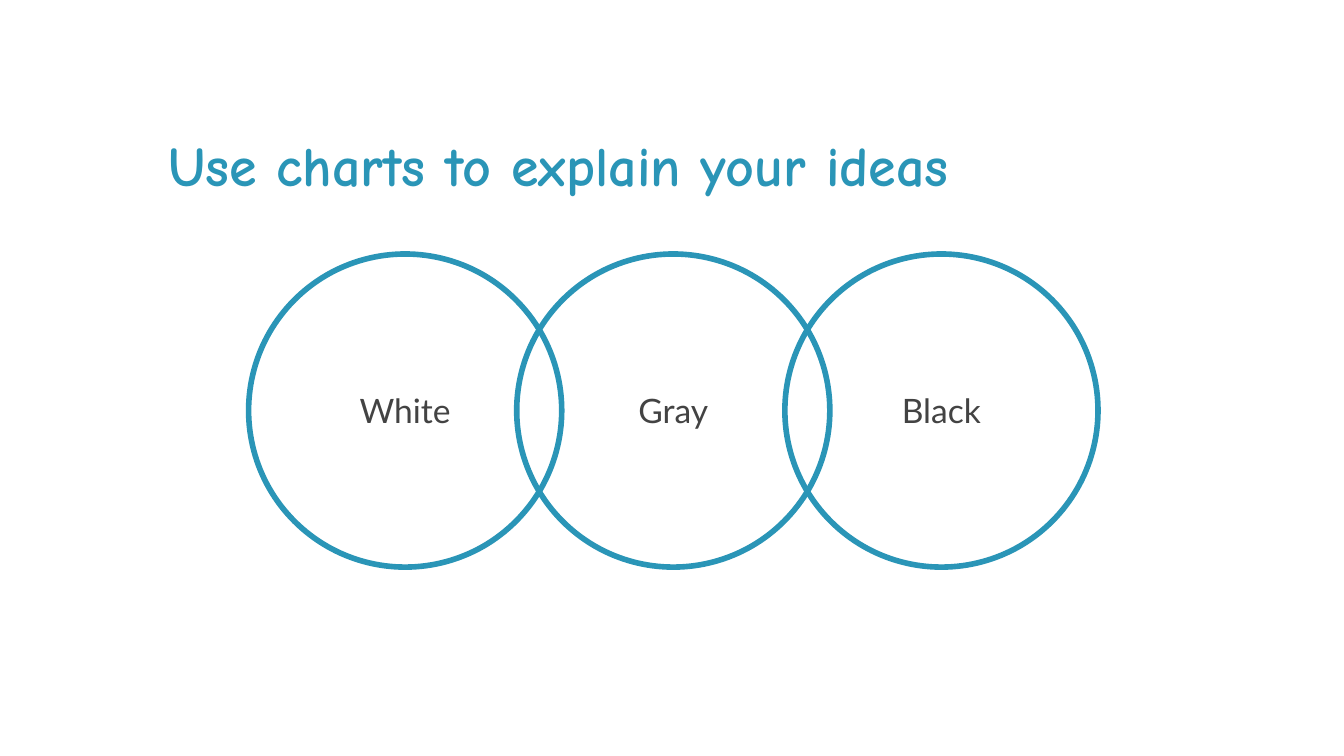
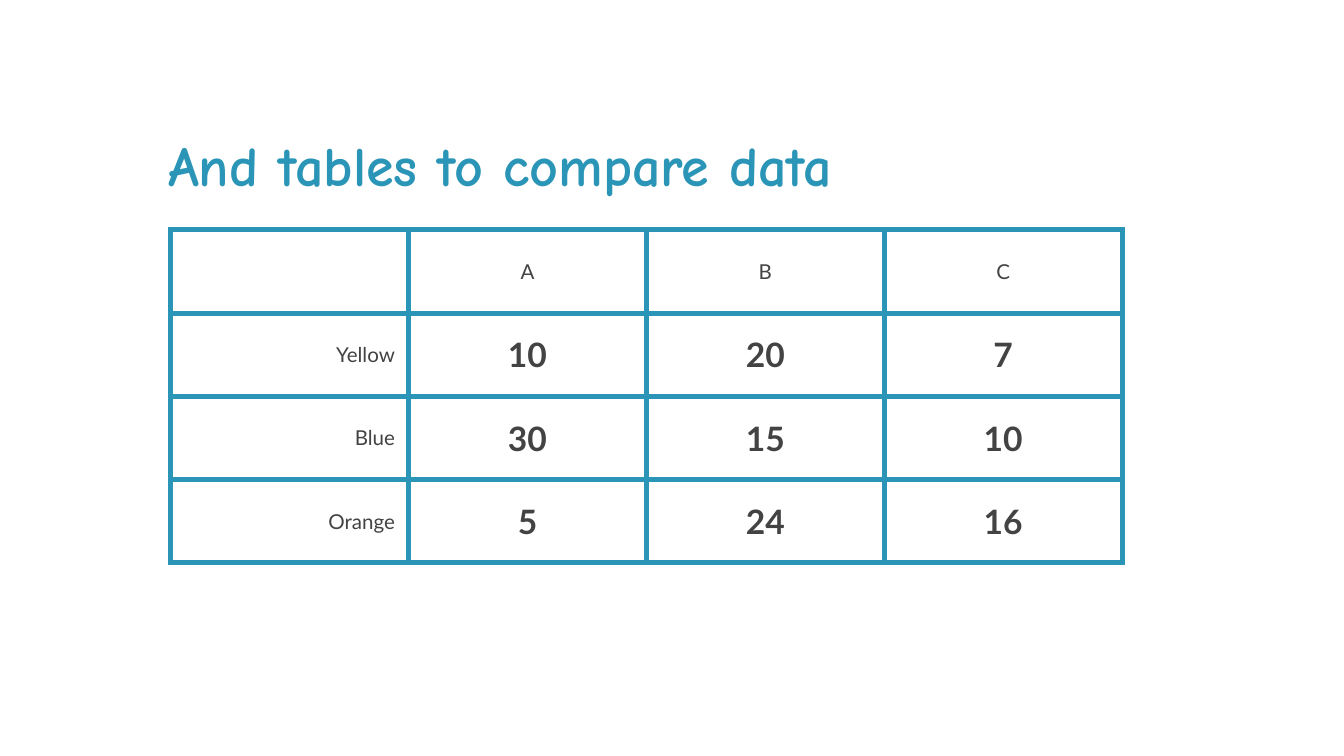
from lxml.etree import SubElement
from pptx import Presentation
from pptx.dml.color import RGBColor
from pptx.enum.shapes import MSO_SHAPE as Shape
from pptx.enum.text import MSO_ANCHOR as Anchor, PP_ALIGN as Align
from pptx.oxml.ns import qn
from pptx.util import Inches, Pt

BLUE, GRAY, WHITE = "2A95B7", "434343", "FFFFFF"
HEAD, BODY = "Comic Neue", "Lato"
LINE = Pt(3)

VENN_TITLE = "Use charts to explain your ideas"
# Back to front: label, column, fill
RINGS = [("Gray", 1, WHITE), ("White", 0, None), ("Black", 2, None)]
RING_LEFT, RING_TOP, RING_SIZE, RING_STEP = 1.85, 1.89, 2.33, 1.995

TABLE_TITLE = "And tables to compare data"
ROWS = [
    ("", "A", "B", "C"),
    ("Yellow", "10", "20", "7"),
    ("Blue", "30", "15", "10"),
    ("Orange", "5", "24", "16"),
]
COL, ROW = 1.77, 0.62


def color(code):
    return RGBColor.from_string(code)


def paint(fill, code):
    """Fill with a colour, or with nothing if code is None."""
    if code:
        fill.solid()
        fill.fore_color.rgb = color(code)
    else:
        fill.background()


def write(frame, text, size=18, font=BODY, ink=GRAY, bold=False,
          align=Align.CENTER, anchor=Anchor.MIDDLE):
    frame.word_wrap = True
    frame.vertical_anchor = anchor
    frame.margin_left = frame.margin_right = Inches(0.1)
    frame.margin_top = frame.margin_bottom = Inches(0.1)
    par = frame.paragraphs[0]
    par.alignment = align
    run = par.add_run()
    run.text = text
    run.font.size, run.font.name, run.font.bold = Pt(size), font, bold
    run.font.color.rgb = color(ink)


def add_slide(prs, title):
    slide = prs.slides.add_slide(prs.slide_layouts[5])
    paint(slide.background.fill, WHITE)
    box = slide.shapes.title
    box.left, box.top = Inches(1.15), Inches(0.87)
    box.width, box.height = Inches(7.68), Inches(0.82)
    write(box.text_frame, title, size=30, font=HEAD, ink=BLUE, bold=True,
          align=Align.LEFT, anchor=Anchor.TOP)
    return slide


def add_ring(slide, label, col, fill):
    ring = slide.shapes.add_shape(
        Shape.OVAL, Inches(RING_LEFT + col * RING_STEP), Inches(RING_TOP),
        Inches(RING_SIZE), Inches(RING_SIZE))
    ring.shadow.inherit = False
    paint(ring.fill, fill)
    ring.line.color.rgb = color(BLUE)
    ring.line.width = LINE
    write(ring.text_frame, label)


def add_border(cell):
    props = cell._tc.get_or_add_tcPr()
    for side in ("lnL", "lnR", "lnT", "lnB"):
        edge = SubElement(props, qn("a:" + side), w=str(LINE))
        fill = SubElement(edge, qn("a:solidFill"))
        SubElement(fill, qn("a:srgbClr"), val=BLUE)


def add_grid(slide):
    rows, cols = len(ROWS), len(ROWS[0])
    table = slide.shapes.add_table(
        rows, cols, Inches(1.27), Inches(1.71),
        Inches(cols * COL), Inches(rows * ROW)).table
    table.first_row = table.horz_banding = False
    for col in table.columns:
        col.width = Inches(COL)
    for r, row in enumerate(ROWS):
        table.rows[r].height = Inches(ROW)
        for c, text in enumerate(row):
            cell = table.cell(r, c)
            add_border(cell)
            paint(cell.fill, WHITE if r % 2 else None)
            cell.vertical_anchor = Anchor.MIDDLE
            cell.margin_left = cell.margin_right = Inches(0.1)
            cell.margin_top = cell.margin_bottom = Inches(0.07)
            if text:
                fill_cell(cell, text, value=r > 0 and c > 0,
                          align=Align.CENTER if c else Align.RIGHT)


def fill_cell(cell, text, value, align):
    par = cell.text_frame.paragraphs[0]
    par.alignment = align
    run = par.add_run()
    run.text = text
    run.font.name, run.font.bold = BODY, value
    run.font.size = Pt(18 if value else 11)
    run.font.color.rgb = color(GRAY)


def main():
    prs = Presentation()
    prs.slide_width, prs.slide_height = Inches(10), Inches(5.625)
    venn = add_slide(prs, VENN_TITLE)
    for ring in RINGS:
        add_ring(venn, *ring)
    add_grid(add_slide(prs, TABLE_TITLE))
    prs.save("out.pptx")


if __name__ == "__main__":
    main()
